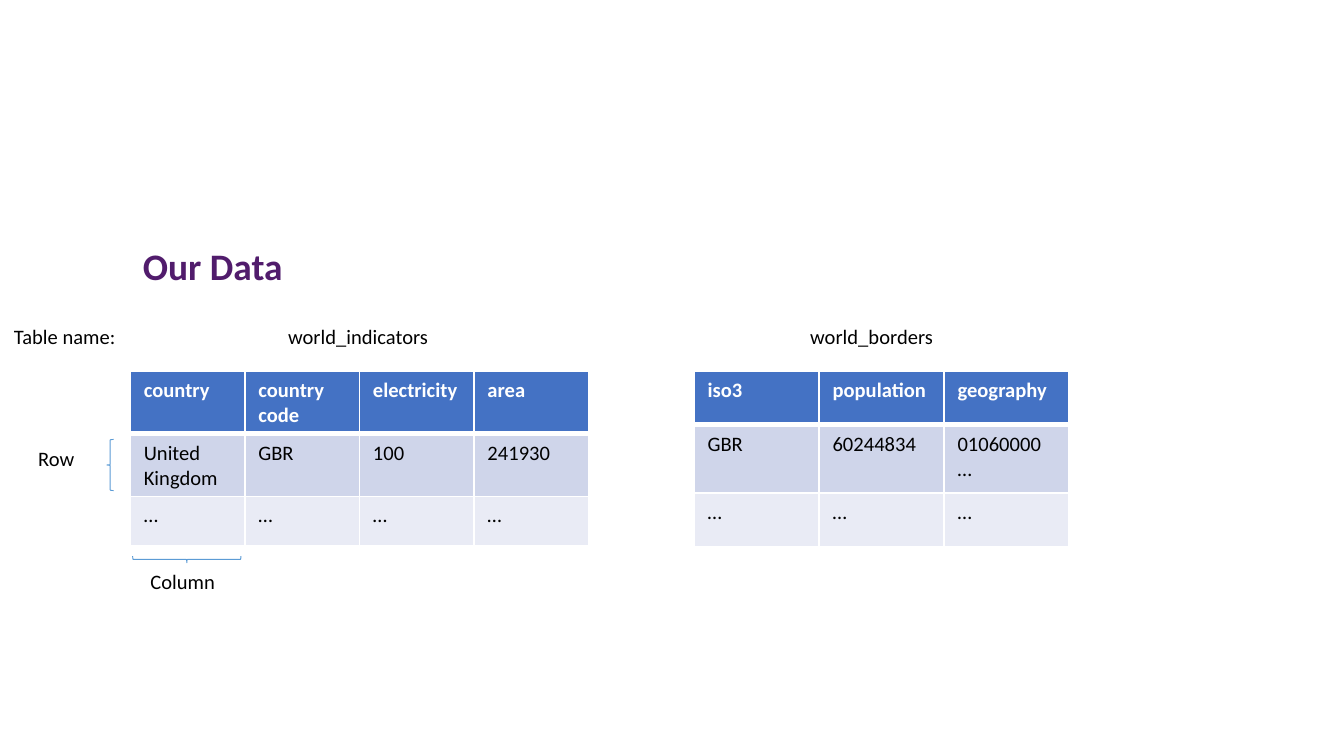
"""Build the "Our Data" slide with two example tables and their labels."""
from lxml.etree import SubElement
from pptx import Presentation
from pptx.dml.color import RGBColor
from pptx.enum.shapes import MSO_SHAPE
from pptx.enum.text import MSO_ANCHOR, MSO_AUTO_SIZE
from pptx.oxml.ns import qn
from pptx.util import Pt

PX = 4572
FONT = "Calibri"
COLORS = {
    "title": "511C6C",
    "text": "000000",
    "white": "FFFFFF",
    "header": "4472C4",
    "odd_row": "CFD5EA",
    "even_row": "E9EBF5",
    "brace": "5B9BD5",
}


def add_run(paragraph, text, size, color, bold=False):
    run = paragraph.add_run()
    run.text = text
    run.font.name = FONT
    run.font.size = Pt(size)
    run.font.bold = bold
    run.font.color.rgb = RGBColor.from_string(COLORS[color])


def add_borders(cell, top, bottom):
    properties = cell._tc.get_or_add_tcPr()
    for side, width in (("lnL", 1), ("lnR", 1), ("lnT", top), ("lnB", bottom)):
        line = SubElement(properties, qn(f"a:{side}"), w=str(Pt(width)))
        fill = SubElement(line, qn("a:solidFill"))
        SubElement(fill, qn("a:srgbClr"), val=COLORS["white"])


presentation = Presentation()
presentation.slide_width = 2000 * PX
presentation.slide_height = 1125 * PX
slide = presentation.slides.add_slide(presentation.slide_layouts[6])

title = slide.shapes.add_textbox(193 * PX, 358 * PX, 1100 * PX, 84 * PX)
title.text_frame.word_wrap = True
title.text_frame.vertical_anchor = MSO_ANCHOR.MIDDLE
paragraph = title.text_frame.paragraphs[0]
paragraph.line_spacing = 0.9
add_run(paragraph, "Our Data", 20, "title", bold=True)

tables = [
    (194, 682, [74, 74, 74], [
        ["country", "country code", "electricity", "area"],
        ["United Kingdom", "GBR", "100", "241930"],
        ["…"] * 4,
    ]),
    (1033, 558, [80, 102, 80], [
        ["iso3", "population", "geography"],
        ["GBR", "60244834", "01060000\n…"],
        ["…"] * 3,
    ]),
]
row_styles = [
    ("header", "white", True, 1, 3),
    ("odd_row", "text", False, 3, 1),
    ("even_row", "text", False, 1, 1),
]
for left, width, heights, rows in tables:
    column_count = len(rows[0])
    frame = slide.shapes.add_table(
        len(rows), column_count, left * PX, 552 * PX, width * PX, 260 * PX
    )
    table = frame.table
    for column in table.columns:
        column.width = width * PX // column_count
    for row, height, texts, style in zip(table.rows, heights, rows, row_styles):
        fill_color, text_color, bold, top, bottom = style
        row.height = height * PX
        for cell, text in zip(row.cells, texts):
            add_borders(cell, top, bottom)
            cell.fill.solid()
            cell.fill.fore_color.rgb = RGBColor.from_string(COLORS[fill_color])
            for index, line in enumerate(text.split("\n")):
                if index:
                    paragraph = cell.text_frame.add_paragraph()
                else:
                    paragraph = cell.text_frame.paragraphs[0]
                add_run(paragraph, line, 11, text_color, bold)
    frame.height = 260 * PX

labels = [
    ("Row", 37, 654, 96),
    ("Column", 204, 837, 136),
    ("world_indicators", 409, 472, 252),
    ("world_borders", 1186, 472, 226),
    ("Table name:", 1, 472, 196),
]
for text, left, top, width in labels:
    label = slide.shapes.add_textbox(left * PX, top * PX, width * PX, 58 * PX)
    label.text_frame.word_wrap = False
    label.text_frame.auto_size = MSO_AUTO_SIZE.SHAPE_TO_FIT_TEXT
    add_run(label.text_frame.paragraphs[0], text, 11, "text")

for left, top, height, rotation in ((159, 654, 76, 0), (273, 752, 161, 270)):
    brace = slide.shapes.add_shape(
        MSO_SHAPE.LEFT_BRACE, left * PX, top * PX, 10 * PX, height * PX
    )
    brace.rotation = rotation
    brace.shadow.inherit = False
    brace.fill.background()
    brace.line.color.rgb = RGBColor.from_string(COLORS["brace"])
    brace.line.width = Pt(0.5)

presentation.save("out.pptx")
